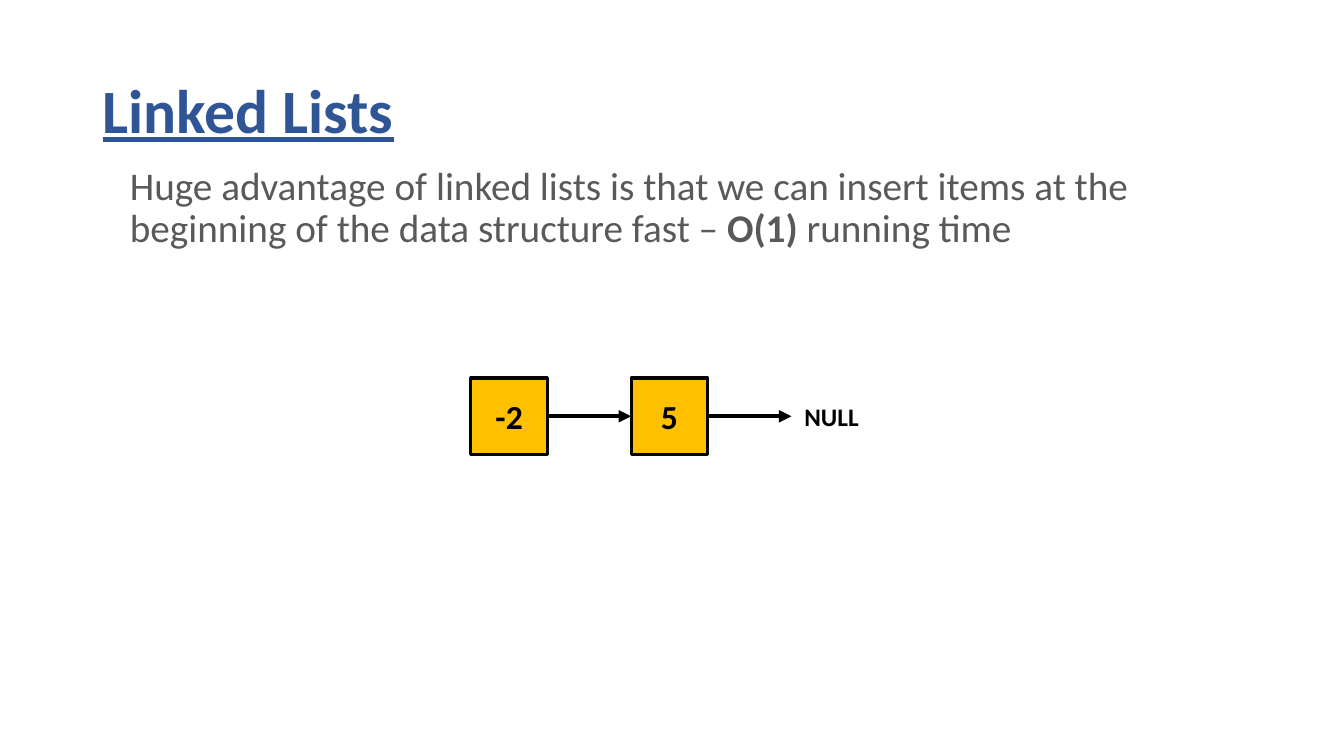
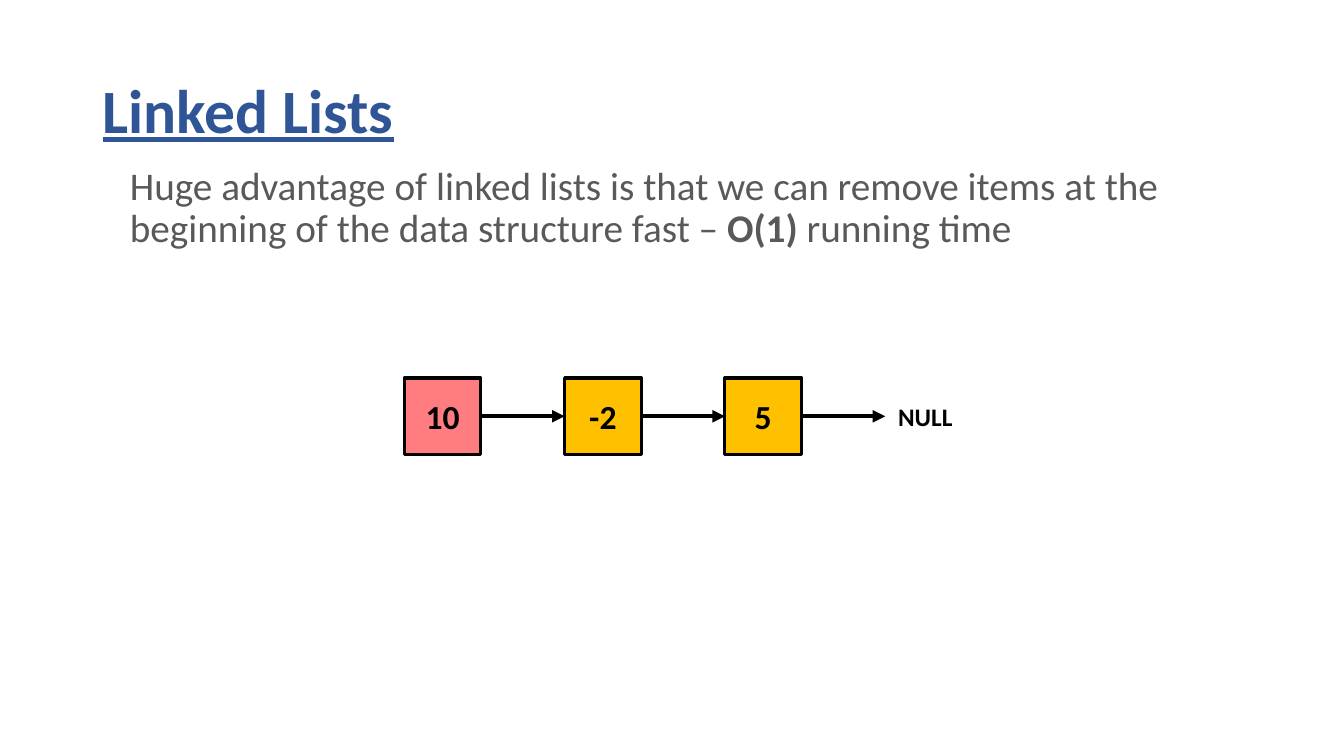
from dataclasses import dataclass

from lxml.etree import SubElement
from pptx import Presentation
from pptx.dml.color import RGBColor as RGB
from pptx.enum.shapes import MSO_CONNECTOR as CONN, MSO_SHAPE as SHAPE
from pptx.enum.text import MSO_ANCHOR as ANCHOR, MSO_AUTO_SIZE as AUTO, PP_ALIGN as ALIGN
from pptx.oxml.ns import qn
from pptx.util import Inches, Pt


@dataclass(frozen=True)
class Theme:
    font: str = "Calibri"
    title: RGB = RGB(0x2F, 0x55, 0x97)
    body: RGB = RGB(0x59, 0x59, 0x59)
    ink: RGB = RGB(0, 0, 0)
    node: RGB = RGB(0xFF, 0xC0, 0x00)
    marked: RGB = RGB(0xFF, 0x7C, 0x80)
    title_size: int = 44
    body_size: int = 28
    node_size: int = 24
    null_size: int = 18


class Deck:
    """Builds the linked list slides in one shared style."""

    NODE, GAP, NODE_TOP = 0.76, 0.83, 3.75
    LEFT, RIGHT = 1, 3

    def __init__(self, theme):
        self.theme = theme
        self.prs = Presentation()
        self.prs.slide_width, self.prs.slide_height = Inches(13.33), Inches(7.5)
        self.s = None

    def slide(self):
        self.s = self.prs.slides.add_slide(self.prs.slide_layouts[6])

    def style(self, r, size, color, bold=False, underline=None):
        f = r.font
        f.name, f.size, f.bold, f.underline = self.theme.font, Pt(size), bold, underline
        f.color.rgb = color

    def textbox(self, x, y, w, h, wrap=True):
        tf = self.s.shapes.add_textbox(Inches(x), Inches(y), Inches(w), Inches(h)).text_frame
        tf.word_wrap = wrap
        return tf

    def title(self, text):
        tf = self.textbox(0.92, 0.4, 11.5, 1.45)
        tf.vertical_anchor = ANCHOR.MIDDLE
        tf.text = text
        p = tf.paragraphs[0]
        p.line_spacing = 0.9
        self.style(p.runs[0], self.theme.title_size, self.theme.title, True, True)

    def body(self, *parts):
        p = self.textbox(1.19, 1.6, 11.5, 1.18).paragraphs[0]
        p.line_spacing = 0.9
        for text, bold in parts:
            r = p.add_run()
            r.text = text
            self.style(r, self.theme.body_size, self.theme.body, bold)

    def node(self, x, value, fill):
        side = Inches(self.NODE)
        sp = self.s.shapes.add_shape(SHAPE.RECTANGLE, Inches(x), Inches(self.NODE_TOP), side, side)
        sp.shadow.inherit = False
        sp.fill.solid()
        sp.fill.fore_color.rgb = fill
        sp.line.color.rgb = self.theme.ink
        sp.line.width = Pt(2.25)
        tf = sp.text_frame
        tf.vertical_anchor = ANCHOR.MIDDLE
        tf.text = value
        p = tf.paragraphs[0]
        p.alignment = ALIGN.CENTER
        self.style(p.runs[0], self.theme.node_size, self.theme.ink, True)
        return sp

    def arrow(self, start, target=None):
        x, y = start.left + start.width, start.top + start.height // 2
        line = self.s.shapes.add_connector(CONN.STRAIGHT, x, y, x + Inches(self.GAP), y)
        line.begin_connect(start, self.RIGHT)
        if target is not None:
            line.end_connect(target, self.LEFT)
        line.line.color.rgb = self.theme.ink
        line.line.width = Pt(3)
        SubElement(line.line._get_or_add_ln(), qn("a:tailEnd"), type="triangle")
        SubElement(line._element.spPr, qn("a:effectLst"))

    def null(self, x):
        tf = self.textbox(x, 3.93, 0.74, 0.4, wrap=False)
        tf.auto_size = AUTO.SHAPE_TO_FIT_TEXT
        tf.text = "NULL"
        self.style(tf.paragraphs[0].runs[0], self.theme.null_size, self.theme.ink, True)

    def linked_list(self, x, values, marked=()):
        pitch = self.NODE + self.GAP
        nodes = [
            self.node(x + i * pitch, v, self.theme.marked if v in marked else self.theme.node)
            for i, v in enumerate(values)
        ]
        for start, target in zip(nodes, nodes[1:] + [None]):
            self.arrow(start, target)
        self.null(x + len(values) * pitch + 0.03)


def main():
    deck = Deck(Theme())
    for verb, x, values, marked in (
        ("insert", 4.67, ["-2", "5"], []),
        ("remove", 4.01, ["10", "-2", "5"], ["10"]),
    ):
        deck.slide()
        deck.linked_list(x, values, marked)
        deck.title("Linked Lists")
        deck.body(
            (f"Huge advantage of linked lists is that we can {verb} items at the "
             "beginning of the data structure fast – ", False),
            ("O(1)", True),
            (" running time", False),
        )
    deck.prs.save("out.pptx")


if __name__ == "__main__":
    main()
